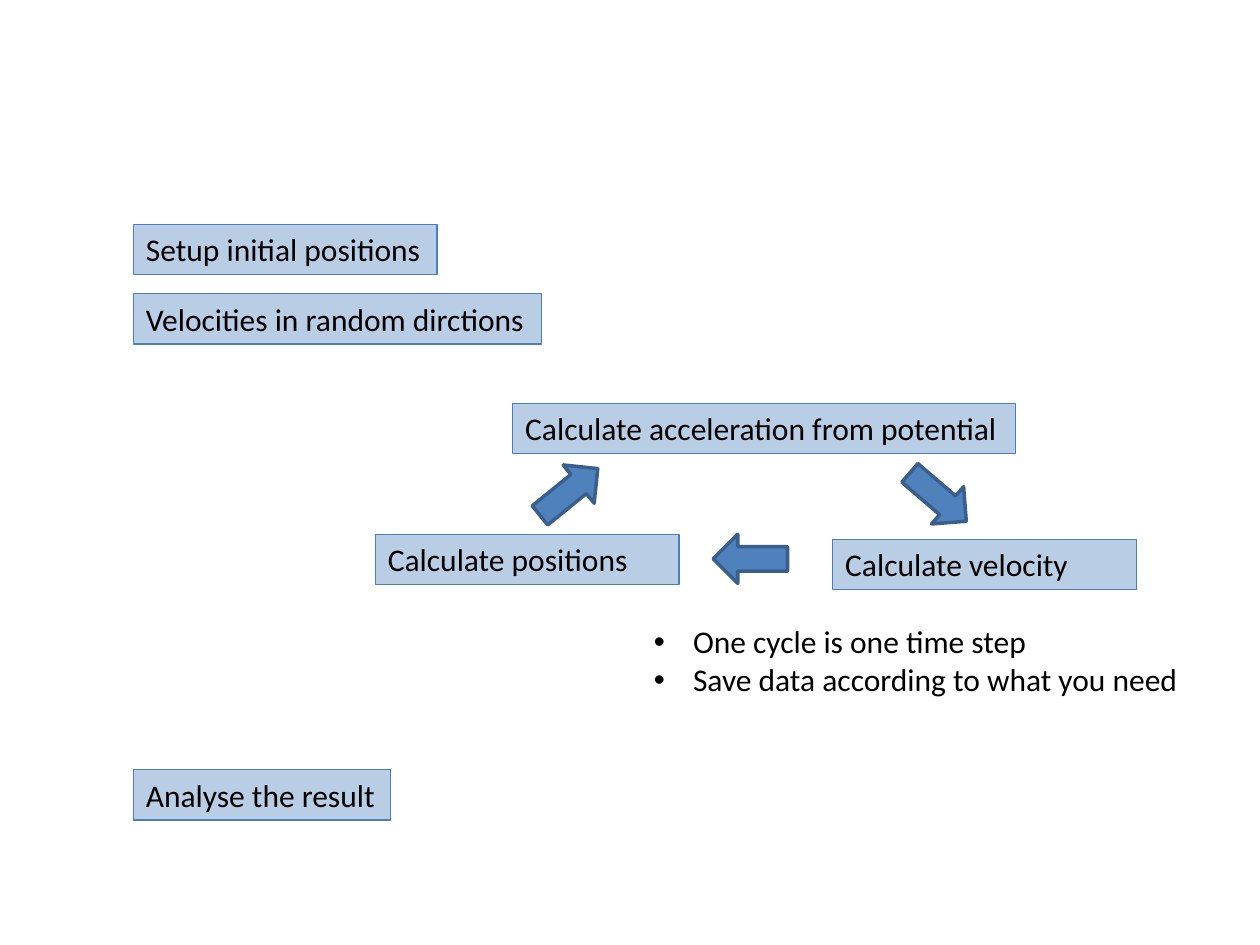
"""Build the simulation cycle slide."""
from pptx import Presentation
from pptx.dml.color import RGBColor
from pptx.enum.shapes import MSO_SHAPE
from pptx.enum.text import MSO_ANCHOR, MSO_AUTO_SIZE, PP_ALIGN
from pptx.util import Inches, Pt

RECT = MSO_SHAPE.RECTANGLE
ARROW = MSO_SHAPE.RIGHT_ARROW
TOP = MSO_ANCHOR.TOP
LEFT = PP_ALIGN.LEFT
GROW = MSO_AUTO_SIZE.SHAPE_TO_FIT_TEXT
PALE = RGBColor(0xB9, 0xCD, 0xE5)
EDGE = RGBColor(0x4B, 0x7E, 0xBC)
BLUE = RGBColor(0x4F, 0x81, 0xBD)
NAVY = RGBColor(0x3A, 0x5F, 0x8C)
BLACK = RGBColor(0, 0, 0)


def write(shape, text, size=18, color=BLACK, wrap=False, indent=0):
    frame = shape.text_frame
    frame.text = text
    frame.word_wrap = wrap
    frame.auto_size = GROW
    frame.vertical_anchor = TOP
    for para in frame.paragraphs:
        para.alignment = LEFT
        para.space_before = Pt(0)
        para.font.name = "Calibri"
        para.font.size = Pt(size)
        para.font.color.rgb = color
        if indent:
            props = para._p.get_or_add_pPr()
            props.set("marL", str(Inches(indent)))
            props.set("indent", str(-Inches(indent)))


def draw(kind, x, y, w, h, fill, line, width):
    shape = slide.shapes.add_shape(kind, Inches(x), Inches(y), Inches(w), Inches(h))
    shape.shadow.inherit = False
    shape.fill.solid()
    shape.fill.fore_color.rgb = fill
    shape.line.color.rgb = line
    shape.line.width = Pt(width)
    return shape


deck = Presentation()
deck.slide_width, deck.slide_height = Inches(10), Inches(7.5)
slide = deck.slides.add_slide(deck.slide_layouts[1])
title = slide.shapes.title._element
title.getparent().remove(title)

steps = [
    ("Setup initial positions", 1.06, 1.78, 2.41, False),
    ("Velocities in random dirctions", 1.06, 2.33, 3.24, False),
    ("Calculate acceleration from potential", 4.07, 3.2, 3.99, False),
    ("Calculate velocity", 6.61, 4.28, 2.41, True),
    ("Calculate positions", 2.98, 4.24, 2.41, True),
    ("Analyse the result", 1.06, 6.11, 2.04, False),
]
for text, x, y, w, wrap in steps:
    box = draw(RECT, x, y, w, 0.4, PALE, EDGE, 0.75)
    write(box, text, wrap=wrap)

for x, y, turn in [(7.15, 3.75, 40.6), (5.66, 4.24, 180), (4.22, 3.71, 321)]:
    arrow = draw(ARROW, x, y, 0.59, 0.39, BLUE, NAVY, 2)
    arrow.rotation = turn

notes = slide.placeholders[1]
notes.left, notes.top = Inches(5.09), Inches(4.89)
notes.width, notes.height = Inches(4.47), Inches(0.71)
write(notes, "One cycle is one time step\nSave data according to what you need", indent=0.31)

deck.save("out.pptx")
